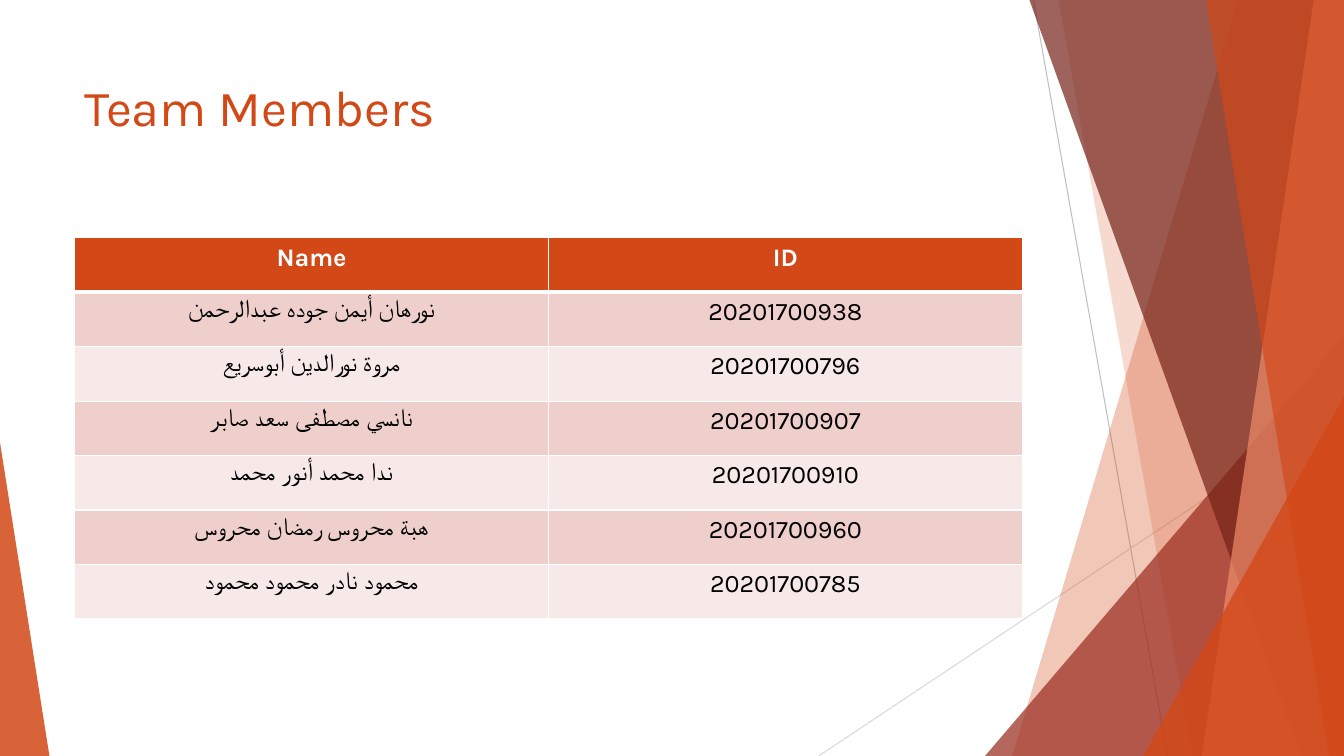
from lxml.etree import SubElement
from pptx import Presentation
from pptx.dml.color import RGBColor
from pptx.enum.shapes import MSO_CONNECTOR, MSO_SHAPE
from pptx.enum.text import MSO_ANCHOR, PP_ALIGN
from pptx.oxml.ns import qn
from pptx.util import Inches, Pt

TITLE = "Team Members"
ROWS = [
    ("Name", "ID"),
    ("نورهان أيمن جوده عبدالرحمن", "20201700938"),
    ("مروة نورالدين أبوسريع", "20201700796"),
    ("نانسي مصطفى سعد صابر", "20201700907"),
    ("ندا محمد أنور محمد", "20201700910"),
    ("هبة محروس رمضان محروس", "20201700960"),
    ("محمود نادر محمود محمود", "20201700785"),
]
FONT = "Karla"
ORANGE, WHITE, BLACK = "D34817", "FFFFFF", "000000"
STRIPES = ["F7E9E8", "EFCFCC"]

WIDTH, HEIGHT = 13.33, 7.5
LEFT, CONTENT_WIDTH = 0.74, 9.4
TABLE_TOP, ROW_HEIGHT = 2.36, 0.54

# start x, start y, end x, end y, colour
LINES = [
    (10.25, 0, 11.58, HEIGHT, "BFBFBF"),
    (WIDTH, 4.03, 8.12, HEIGHT, "D9D9D9"),
]
# Bands reach the right edge: ("band", x at top, x at bottom, colour, opacity)
# Wedges stand on the bottom edge: ("wedge", left, width, height, apex, colour, opacity)
FACETS = [
    ("band", 12.28, 10.04, ORANGE, 30),
    ("band", 10.5, 11.83, ORANGE, 20),
    ("wedge", 9.77, 3.56, 4.17, 1, "9B2D1F", 72),
    ("band", 10.21, 12.91, "742217", 70),
    ("band", 13.03, 11.92, "EF8C6A", 70),
    ("band", 11.96, 13.18, ORANGE, 65),
    ("wedge", 11.34, 1.99, 3.57, 1, ORANGE, 80),
    ("wedge", 0, 0.49, 3.11, 0, ORANGE, 85),
]


def rgb(value):
    return RGBColor.from_string(value)


def paint(shape, color, opacity):
    shape.shadow.inherit = False
    shape.line.fill.background()
    shape.fill.solid()
    shape.fill.fore_color.rgb = rgb(color)
    tint = shape.fill._xPr.find(qn("a:solidFill"))[0]
    SubElement(tint, qn("a:alpha"), val=str(opacity * 1000))


def add_line(page, x1, y1, x2, y2, color):
    line = page.shapes.add_connector(
        MSO_CONNECTOR.STRAIGHT, *map(Inches, (x1, y1, x2, y2)))
    line.line.color.rgb = rgb(color)
    line.line.width = Pt(0.75)
    SubElement(line._element.spPr, qn("a:effectLst"))


def add_band(page, top_x, bottom_x, color, opacity):
    outline = page.shapes.build_freeform(Inches(top_x), 0)
    corners = [(WIDTH, 0), (WIDTH, HEIGHT), (bottom_x, HEIGHT)]
    outline.add_line_segments([(Inches(x), Inches(y)) for x, y in corners])
    paint(outline.convert_to_shape(), color, opacity)


def add_wedge(page, left, width, height, apex, color, opacity):
    wedge = page.shapes.add_shape(
        MSO_SHAPE.ISOSCELES_TRIANGLE,
        *map(Inches, (left, HEIGHT - height, width, height)))
    wedge.adjustments[0] = apex
    paint(wedge, color, opacity)


def set_borders(cell, widths):
    """Draw white borders; widths maps a side (L, R, T, B) to points."""
    properties = cell._tc.get_or_add_tcPr()
    for side, points in widths.items():
        border = SubElement(properties, qn(f"a:ln{side}"), w=str(Pt(points)))
        fill = SubElement(border, qn("a:solidFill"))
        SubElement(fill, qn("a:srgbClr"), val=WHITE)


def set_title(page):
    title = page.shapes.title
    title.left, title.top = Inches(LEFT), Inches(0.67)
    title.width, title.height = Inches(CONTENT_WIDTH), Inches(1.44)
    frame = title.text_frame
    frame.text = TITLE
    frame.vertical_anchor = MSO_ANCHOR.TOP
    frame.margin_top = Inches(0.08)
    para = frame.paragraphs[0]
    para.alignment = PP_ALIGN.LEFT
    para.font.size, para.font.name = Pt(36), FONT
    para.font.color.rgb = rgb(ORANGE)
    title.element.getparent().append(title.element)


def add_members(page):
    table = page.shapes.add_table(
        len(ROWS), len(ROWS[0]), Inches(LEFT), Inches(TABLE_TOP),
        Inches(CONTENT_WIDTH), Inches(ROW_HEIGHT * len(ROWS))).table
    for r, row in enumerate(ROWS):
        header = r == 0
        for c, text in enumerate(row):
            cell = table.cell(r, c)
            set_borders(cell, {"L": 1, "R": 1, "T": 3 if r == 1 else 1,
                               "B": 3 if header else 1})
            cell.fill.solid()
            cell.fill.fore_color.rgb = rgb(ORANGE if header else STRIPES[r % 2])
            cell.text = text
            para = cell.text_frame.paragraphs[0]
            para.alignment = PP_ALIGN.CENTER
            para.font.size, para.font.name = Pt(18), FONT
            para.font.bold = header
            para.font.color.rgb = rgb(WHITE if header else BLACK)


def main():
    deck = Presentation()
    deck.slide_width, deck.slide_height = Inches(WIDTH), Inches(HEIGHT)
    page = deck.slides.add_slide(deck.slide_layouts[5])
    for line in LINES:
        add_line(page, *line)
    for kind, *facet in FACETS:
        (add_band if kind == "band" else add_wedge)(page, *facet)
    set_title(page)
    add_members(page)
    deck.save("out.pptx")


if __name__ == "__main__":
    main()
